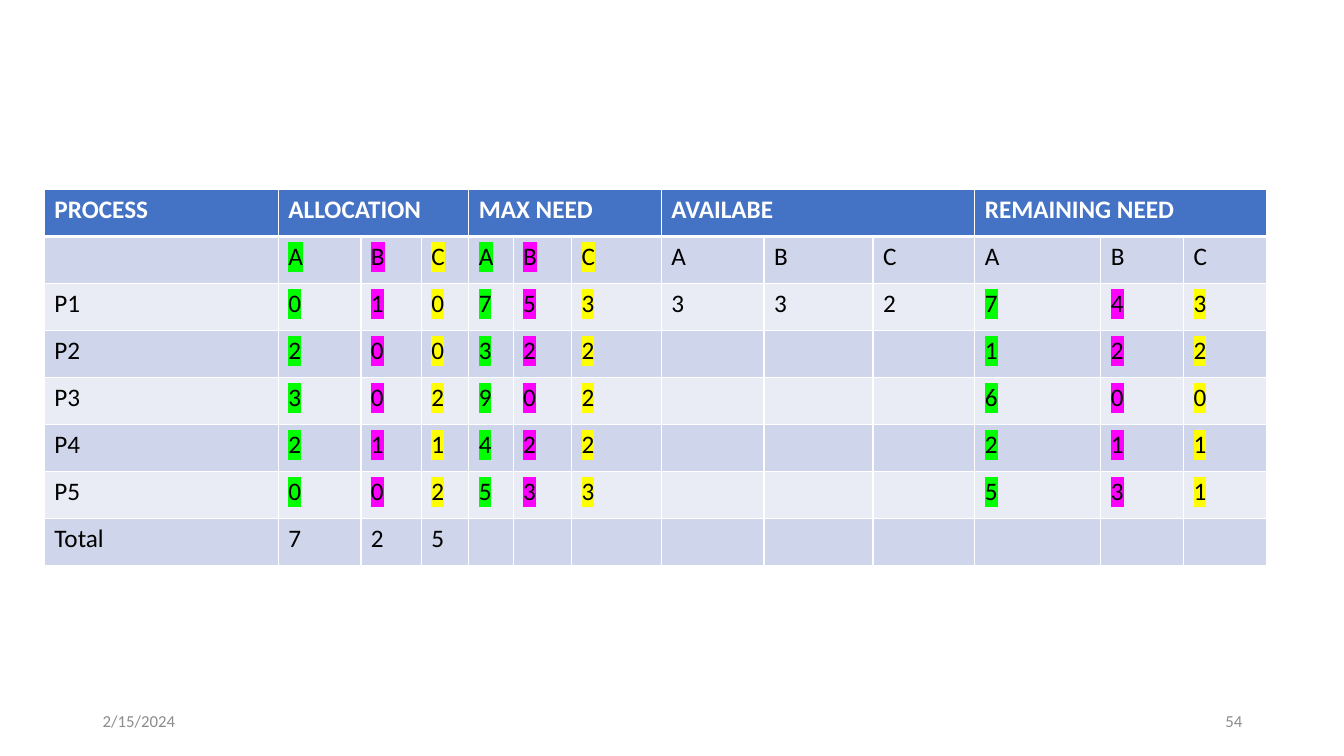
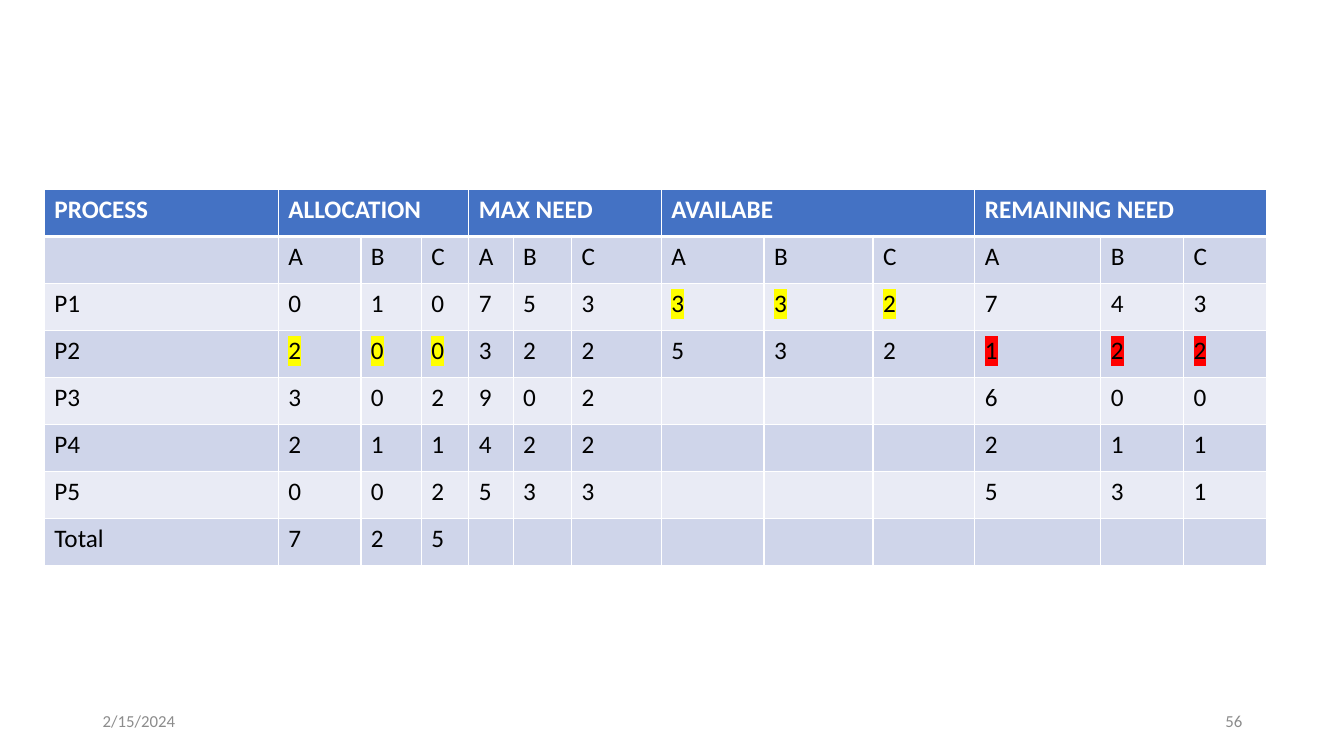
from pptx import Presentation
from pptx.dml.color import RGBColor
from pptx.enum.text import MSO_ANCHOR as Anchor, PP_ALIGN as Align
from pptx.oxml.ns import qn
from pptx.util import Inches, Pt
from lxml.etree import SubElement

FONT = "Calibri"
BLUE, BAND_DARK, BAND_LIGHT = "4472C4", "CFD5EA", "E9EBF5"
WHITE, BLACK, GREY = "FFFFFF", "000000", "8C8C8C"
GREEN, MAGENTA, YELLOW, RED = "00FF00", "FF00FF", "FFFF00", "FF0000"

DATE = "2/15/2024"
GROUPS = ["ALLOCATION", "MAX NEED", "AVAILABE", "REMAINING NEED"]
ALLOCATION, MAX_NEED, AVAILABLE, REMAINING = range(4)
RESOURCES = "ABC"
COLUMN_WIDTHS = [2.32, 0.82, 0.6, 0.47, 0.44, 0.58, 0.89,
                 1.02, 1.08, 1.01, 1.25, 0.82, 0.82]

# Each row: label, then one digit per resource for every group
ROWS = [
    ("", RESOURCES, RESOURCES, RESOURCES, RESOURCES),
    ("P1", "010", "753", "332", "743"),
    ("P2", "200", "322", "", "122"),
    ("P3", "302", "902", "", "600"),
    ("P4", "211", "422", "", "211"),
    ("P5", "002", "533", "", "531"),
    ("Total", "725", "", "", ""),
]
PROCESSES = ["P1", "P2", "P3", "P4", "P5"]
BY_RESOURCE = (GREEN, MAGENTA, YELLOW)

# Highlights map (row label, group) to one colour per resource
SLIDES = [
    {
        "number": "54",
        "available": {},
        "highlights": {
            (label, group): BY_RESOURCE
            for group in (ALLOCATION, MAX_NEED, REMAINING)
            for label in PROCESSES + ([""] if group != REMAINING else [])
        },
    },
    {
        "number": "56",
        "available": {"P2": "532"},
        "highlights": {
            ("P1", AVAILABLE): (YELLOW,) * 3,
            ("P2", ALLOCATION): (YELLOW,) * 3,
            ("P2", REMAINING): (RED,) * 3,
        },
    },
]


def rgb(value):
    return RGBColor.from_string(value)


def write(frame, text, size=18, color=BLACK, bold=False, align=Align.LEFT, highlight=None):
    paragraph = frame.paragraphs[0]
    paragraph.alignment = align
    run = paragraph.add_run()
    run.text = text
    font = run.font
    font.size, font.bold = Pt(size), bold
    font.color.rgb = rgb(color)
    if highlight:
        mark = SubElement(font.fill._xPr, qn("a:highlight"))
        SubElement(mark, qn("a:srgbClr"), val=highlight)
    font.name = FONT


def add_footer(slide, text, left, align):
    box = slide.shapes.add_textbox(Inches(left), Inches(6.95), Inches(3), Inches(0.4))
    frame = box.text_frame
    frame.word_wrap = True
    frame.vertical_anchor = Anchor.MIDDLE
    write(frame, text, size=12, color=GREY, align=align)


def paint(cell, fill, top=1, bottom=1):
    """Give a cell white borders (widths in points) and a solid fill."""
    properties = cell._tc.get_or_add_tcPr()
    for side, width in (("L", 1), ("R", 1), ("T", top), ("B", bottom)):
        line = SubElement(properties, qn(f"a:ln{side}"), w=str(Pt(width)))
        solid = SubElement(line, qn("a:solidFill"))
        SubElement(solid, qn("a:srgbClr"), val=WHITE)
    cell.fill.solid()
    cell.fill.fore_color.rgb = rgb(fill)


def group_column(group):
    return 1 + group * len(RESOURCES)


def add_header(table):
    for column in range(len(COLUMN_WIDTHS)):
        paint(table.cell(0, column), BLUE, bottom=3)
    write(table.cell(0, 0).text_frame, "PROCESS", color=WHITE, bold=True)
    for group, title in enumerate(GROUPS):
        first = group_column(group)
        heading = table.cell(0, first)
        heading.merge(table.cell(0, first + len(RESOURCES) - 1))
        write(heading.text_frame, title, color=WHITE, bold=True)


def add_allocation_table(slide, available, highlights):
    table = slide.shapes.add_table(
        len(ROWS) + 1, len(COLUMN_WIDTHS),
        Inches(0.44), Inches(1.88), Inches(12.1), Inches(3.73)).table
    for column, width in zip(table.columns, COLUMN_WIDTHS):
        column.width = Inches(width)
    add_header(table)

    for row, (label, *values) in enumerate(ROWS, start=1):
        band = BAND_DARK if row % 2 else BAND_LIGHT
        for column in range(len(COLUMN_WIDTHS)):
            paint(table.cell(row, column), band, top=3 if row == 1 else 1)
        if label:
            write(table.cell(row, 0).text_frame, label)
        values[AVAILABLE] = available.get(label, values[AVAILABLE])
        for group, digits in enumerate(values):
            marks = highlights.get((label, group), (None,) * 3)
            for offset, (digit, mark) in enumerate(zip(digits, marks)):
                cell = table.cell(row, group_column(group) + offset)
                write(cell.text_frame, digit, highlight=mark)


def main():
    deck = Presentation()
    deck.slide_width, deck.slide_height = Inches(13.33), Inches(7.5)
    for content in SLIDES:
        slide = deck.slides.add_slide(deck.slide_layouts[6])
        add_footer(slide, DATE, 0.92, Align.LEFT)
        add_footer(slide, content["number"], 9.42, Align.RIGHT)
        add_allocation_table(slide, content["available"], content["highlights"])
    deck.save("out.pptx")


if __name__ == "__main__":
    main()
